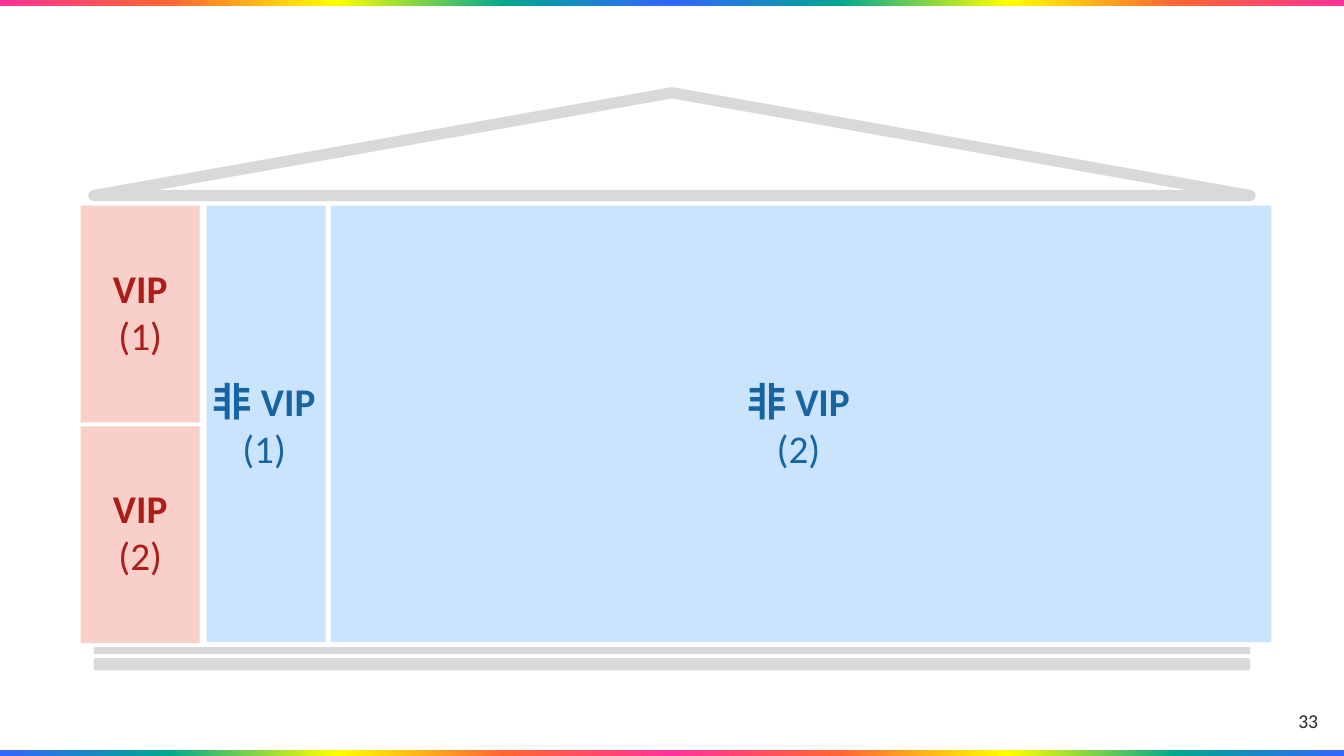
from lxml.etree import SubElement
from pptx import Presentation
from pptx.dml.color import RGBColor
from pptx.enum.shapes import MSO_SHAPE
from pptx.enum.text import MSO_ANCHOR, MSO_AUTO_SIZE, PP_ALIGN
from pptx.oxml.ns import qn
from pptx.util import Inches, Pt

COLORS = {
    "vip": "EC6152",
    "vip_text": "920000",
    "regular": "51A8F9",
    "regular_text": "00487E",
    "house": "D9D9D9",
    "number": "262626",
}
RAINBOW = ["FF3399", "FF6633", "FFFF00", "01A78F", "3366FF"]
SLIDE_WIDTH, SLIDE_HEIGHT = 13.33, 7.5
BAND_HEIGHT = 0.06
HOUSE_LEFT, HOUSE_WIDTH = 0.93, 11.47
ROOM_TOP, ROOM_HEIGHT = 2.04, 4.33
NARROW_WIDTH, VIP_HEIGHT = 1.18, 2.15
LABEL_HEIGHT = 1.04


def add_plain_shape(slide, kind, left, top, width, height):
    shape = slide.shapes.add_shape(
        kind, Inches(left), Inches(top), Inches(width), Inches(height))
    shape.shadow.inherit = False
    shape.line.fill.background()
    return shape


def add_filled_shape(slide, kind, box, color, opacity=100):
    shape = add_plain_shape(slide, kind, *box)
    shape.fill.solid()
    shape.fill.fore_color.rgb = RGBColor.from_string(COLORS[color])
    if opacity < 100:
        color_element = shape.fill._xPr.find(qn("a:solidFill"))[0]
        SubElement(color_element, qn("a:alpha"), val=str(opacity * 1000))


def add_rainbow_band(slide, left, top, rotation):
    band = add_plain_shape(
        slide, MSO_SHAPE.RECTANGLE, left, top, SLIDE_WIDTH / 2, BAND_HEIGHT)
    band.rotation = rotation
    band.fill.gradient()
    band.fill.gradient_angle = 0
    stops = band.fill._fill._gradFill.find(qn("a:gsLst"))
    for stop in list(stops):
        stops.remove(stop)
    for index, color in enumerate(RAINBOW):
        stop = SubElement(stops, qn("a:gs"), pos=str(index * 25000))
        SubElement(stop, qn("a:srgbClr"), val=color)


def add_text(slide, box, lines, color, size, bold_first=False):
    shape = slide.shapes.add_textbox(*(Inches(length) for length in box))
    text_frame = shape.text_frame
    text_frame.word_wrap = True
    text_frame.text = "\n".join(lines)
    for index, paragraph in enumerate(text_frame.paragraphs):
        paragraph.alignment = PP_ALIGN.CENTER
        for run in paragraph.runs:
            run.font.name = "Calibri"
            run.font.size = Pt(size)
            run.font.bold = bold_first and index == 0
            run.font.color.rgb = RGBColor.from_string(COLORS[color])
    return text_frame


def add_room_label(slide, left, top, width, name, number, color):
    text_frame = add_text(slide, (left, top, width, LABEL_HEIGHT),
                          [name, f"({number})"], color, 28, bold_first=True)
    text_frame.auto_size = MSO_AUTO_SIZE.SHAPE_TO_FIT_TEXT


def add_roof(slide):
    roof = add_plain_shape(slide, MSO_SHAPE.ISOSCELES_TRIANGLE,
                           HOUSE_LEFT, 0.92, HOUSE_WIDTH, 1.02)
    roof.fill.background()
    roof.line.color.rgb = RGBColor.from_string(COLORS["house"])
    roof.line.width = Pt(8)
    SubElement(roof.line._get_or_add_ln(), qn("a:round"))


def main():
    presentation = Presentation()
    presentation.slide_width = Inches(SLIDE_WIDTH)
    presentation.slide_height = Inches(SLIDE_HEIGHT)
    slide = presentation.slides.add_slide(presentation.slide_layouts[6])

    middle, bottom = SLIDE_WIDTH / 2, SLIDE_HEIGHT - BAND_HEIGHT
    for left, top, rotation in [(0, 0, 0), (0, bottom, 180),
                                (middle, bottom, 0), (middle, 0, 180)]:
        add_rainbow_band(slide, left, top, rotation)

    # Labels lie under the translucent rooms, which tint them.
    for number, top in enumerate([2.57, 4.76], start=1):
        add_room_label(slide, 0.8, top, NARROW_WIDTH, "VIP", number, "vip_text")
    for number, left in enumerate([1.8, 7.1], start=1):
        add_room_label(slide, left, 3.69, 1.64, "非 VIP", number, "regular_text")

    page_number = add_text(slide, (12.67, 6.95, 0.61, 0.4), ["33"], "number", 14)
    page_number.vertical_anchor = MSO_ANCHOR.MIDDLE

    add_roof(slide)
    for top, height in [(6.53, 0.12), (6.42, 0.07)]:
        add_filled_shape(slide, MSO_SHAPE.ROUNDED_RECTANGLE,
                         (HOUSE_LEFT, top, HOUSE_WIDTH, height), "house")

    for top in (ROOM_TOP, 4.23):
        add_filled_shape(slide, MSO_SHAPE.RECTANGLE,
                         (0.8, top, NARROW_WIDTH, VIP_HEIGHT), "vip", 30)
    for left, width in [(2.05, NARROW_WIDTH), (3.28, 9.33)]:
        add_filled_shape(slide, MSO_SHAPE.RECTANGLE,
                         (left, ROOM_TOP, width, ROOM_HEIGHT), "regular", 30)

    presentation.save("out.pptx")


if __name__ == "__main__":
    main()
